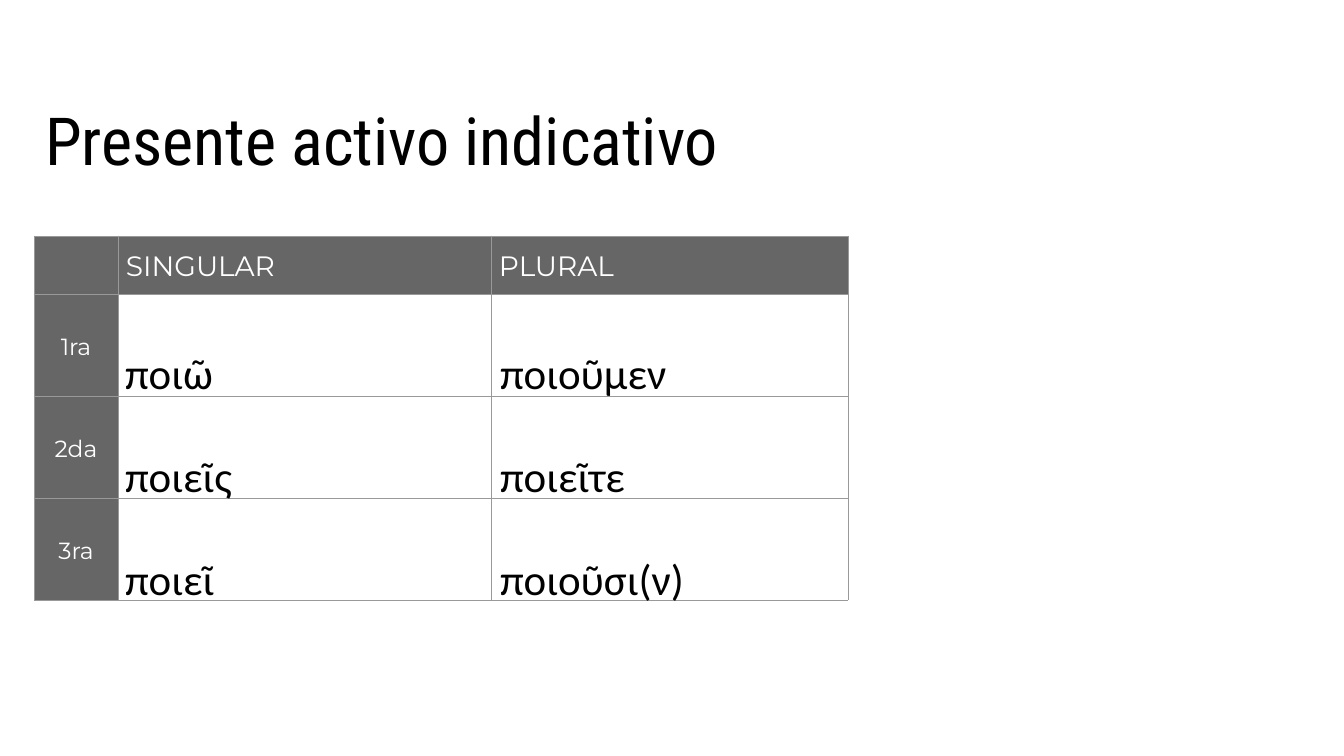
from lxml import etree
from pptx import Presentation, util as u
from pptx.dml.color import RGBColor
from pptx.enum import text
from pptx.oxml import ns

PX = 914400 / 67.2


def px(length):
    return u.Emu(round(length * PX))


def color(value):
    return RGBColor.from_string(value)


class ConjugationSlide:
    INK = "000000"
    PAPER = "FFFFFF"
    HEADING = "666666"
    GRID = "999999"

    def __init__(self, slide):
        self.slide = slide

    def fit(self, placeholder, box, inset):
        placeholder.left, placeholder.top, placeholder.width, placeholder.height = map(px, box)
        frame = placeholder.text_frame
        frame.word_wrap = True
        frame.auto_size = text.MSO_AUTO_SIZE.NONE
        frame.vertical_anchor = text.MSO_ANCHOR.TOP
        frame.margin_left = frame.margin_right = px(inset)
        frame.margin_top = frame.margin_bottom = px(inset)
        return frame

    def style(self, paragraph, font, size, ink, spacing, align=text.PP_ALIGN.LEFT):
        paragraph.alignment = align
        paragraph.line_spacing = spacing
        paragraph.space_before = u.Pt(0)
        paragraph.font.name = font
        paragraph.font.size = u.Pt(size)
        paragraph.font.color.rgb = color(ink)

    def title(self, wording, box):
        frame = self.fit(self.slide.shapes.title, box, 11)
        frame.text = wording
        self.style(frame.paragraphs[0], "Roboto Condensed", 71, self.INK, 1.0)

    def verb_forms(self, index, forms, box):
        frame = self.fit(self.slide.placeholders[index], box, 7)
        frame.text = "\n".join(forms)
        for paragraph in frame.paragraphs:
            props = paragraph._p.get_or_add_pPr()
            props.set("marL", "0")
            props.set("indent", "0")
            etree.SubElement(props, ns.qn("a:buNone"))
            self.style(paragraph, "Calibri", 46, self.INK, 2.0)

    def borders(self, cell):
        props = cell._tc.get_or_add_tcPr()
        for side in ("lnL", "lnR", "lnT", "lnB"):
            line = etree.SubElement(props, ns.qn(f"a:{side}"), w=str(u.Pt(0.75)))
            fill = etree.SubElement(line, ns.qn("a:solidFill"))
            etree.SubElement(fill, ns.qn("a:srgbClr"), val=self.GRID)

    def heading(self, cell, wording, size, inset, align, anchor):
        cell.fill.solid()
        cell.fill.fore_color.rgb = color(self.HEADING)
        cell.vertical_anchor = anchor
        cell.margin_left = cell.margin_right = px(inset)
        cell.margin_top = cell.margin_bottom = px(inset)
        if wording:
            cell.text = wording
            self.style(cell.text_frame.paragraphs[0], "Montserrat", size, self.PAPER, 1.15, align)

    def grid(self, numbers, persons, left, top, widths, heights):
        shapes = self.slide.shapes
        frame = shapes.add_table(len(heights), len(widths), px(left), px(top),
                                 px(sum(widths)), px(sum(heights)))
        shapes._spTree.insert(2, frame._element)
        table = frame.table
        table.first_row = table.horz_banding = False
        for column, width in zip(table.columns, widths):
            column.width = px(width)
        for row, height in zip(table.rows, heights):
            row.height = px(height)
        for cell in table.iter_cells():
            self.borders(cell)
            cell.fill.background()
        for column, number in enumerate(["", *numbers]):
            self.heading(table.cell(0, column), number, 30, 8,
                         text.PP_ALIGN.LEFT, text.MSO_ANCHOR.TOP)
        for row, person in enumerate(persons, 1):
            self.heading(table.cell(row, 0), person, 25, 7,
                         text.PP_ALIGN.CENTER, text.MSO_ANCHOR.MIDDLE)


def main():
    deck = Presentation()
    deck.slide_width, deck.slide_height = px(1344), px(756)
    present = ConjugationSlide(deck.slides.add_slide(deck.slide_layouts[3]))
    present.title("Presente activo indicativo", (34, 88, 1130, 79))
    present.verb_forms(1, ["ποιῶ", "ποιεῖς", "ποιεῖ"], (118, 288, 274, 311))
    present.verb_forms(2, ["ποιοῦμεν", "ποιεῖτε", "ποιοῦσι(ν)"], (493, 288, 263, 311))
    present.grid(["SINGULAR", "PLURAL"], ["1ra", "2da", "3ra"],
                 34, 236, [84, 373, 357], [58, 102, 102, 102])
    deck.save("out.pptx")


if __name__ == "__main__":
    main()
